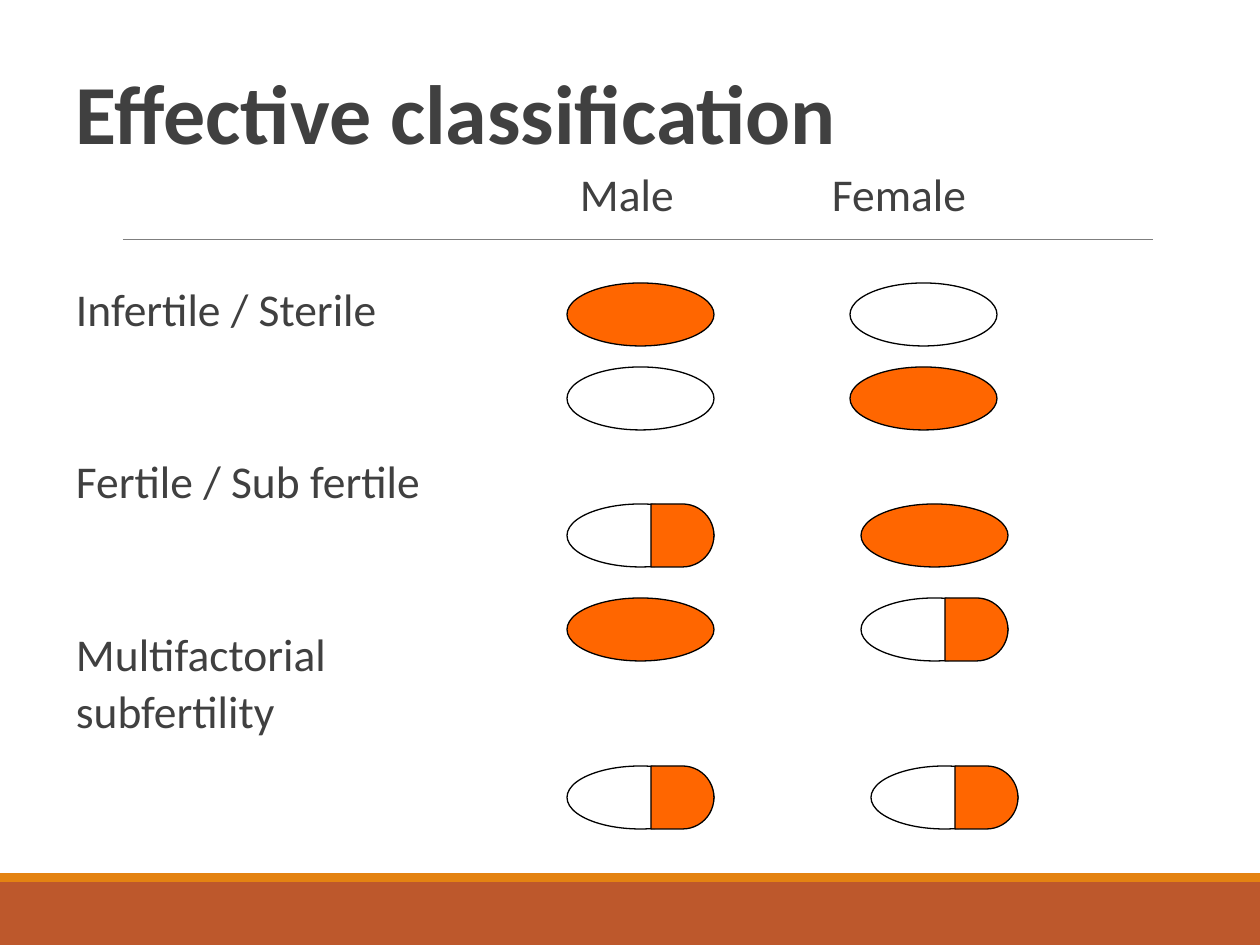
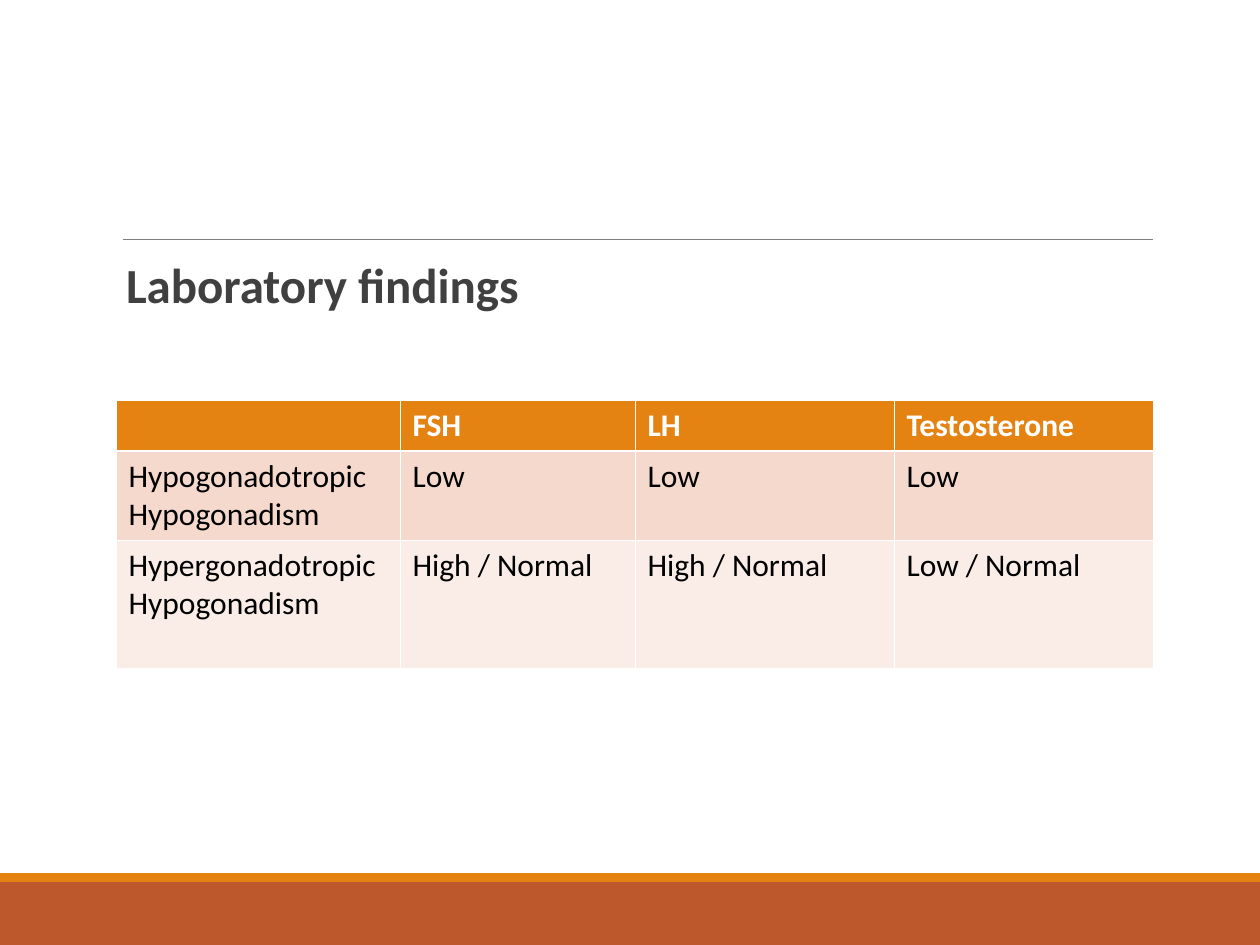
from dataclasses import dataclass

from lxml.etree import SubElement
from pptx import Presentation
from pptx.dml.color import RGBColor
from pptx.enum.shapes import MSO_CONNECTOR, MSO_SHAPE
from pptx.enum.text import MSO_ANCHOR
from pptx.oxml import parse_xml
from pptx.oxml.ns import nsdecls, qn
from pptx.util import Pt

EMU_PER_PIXEL = 914400 / 126


@dataclass(frozen=True)
class Theme:
    font: str = "Calibri"
    text: str = "404040"
    black: str = "000000"
    white: str = "FFFFFF"
    rule: str = "7F7F7F"
    footer: str = "BD582C"
    accent: str = "E48312"
    marker: str = "FF6600"
    row_fills: tuple = ("E48312", "F5D9CC", "FAEDE7")
    title_size: int = 48
    heading_size: int = 28
    body_size: int = 26
    table_size: int = 18
    thin_border: float = 0.45
    thick_border: float = 1.47


THEME = Theme()


def px(length):
    return round(length * EMU_PER_PIXEL)


def color(value):
    return RGBColor.from_string(value)


def write(paragraph, text, size=THEME.body_size, fill=THEME.text, bold=False,
          line_spacing=1.0, before=0, after=0, tabs=()):
    if tabs:
        tab_list = SubElement(paragraph._p.get_or_add_pPr(), qn("a:tabLst"))
        for position in tabs:
            SubElement(tab_list, qn("a:tab"), pos=str(px(position)), algn="l")
    paragraph.line_spacing = line_spacing
    paragraph.space_before = Pt(before)
    paragraph.space_after = Pt(after)
    run = paragraph.add_run()
    run.text = text
    run.font.name = THEME.font
    run.font.size = Pt(size)
    run.font.bold = bold
    run.font.color.rgb = color(fill)


def add_text_frame(slide, left, top, width, height, anchor=MSO_ANCHOR.TOP):
    shape = slide.shapes.add_textbox(px(left), px(top), px(width), px(height))
    frame = shape.text_frame
    frame.word_wrap = True
    frame.vertical_anchor = anchor
    frame.margin_left = frame.margin_right = px(13)
    frame.margin_top = frame.margin_bottom = px(6)
    return frame


def add_filled_shape(slide, kind, left, top, width, height, fill, outline=None):
    shape = slide.shapes.add_shape(kind, px(left), px(top), px(width), px(height))
    shape.shadow.inherit = False
    shape.fill.solid()
    shape.fill.fore_color.rgb = color(fill)
    if outline:
        shape.line.color.rgb = color(outline)
        shape.line.width = Pt(0.75)
    else:
        shape.line.fill.background()


def add_rule(slide, left, right, top):
    line = slide.shapes.add_connector(
        MSO_CONNECTOR.STRAIGHT, px(left), px(top), px(right), px(top))
    line.line.color.rgb = color(THEME.rule)
    line.line.width = Pt(0.5)
    SubElement(line._element.spPr, qn("a:effectLst"))


def add_base_slide(presentation):
    slide = presentation.slides.add_slide(presentation.slide_layouts[6])
    add_filled_shape(slide, MSO_SHAPE.RECTANGLE, 0, 882, 1260, 63, THEME.footer)
    add_filled_shape(slide, MSO_SHAPE.RECTANGLE, 0, 873, 1260, 9, THEME.accent)
    add_rule(slide, 123, 1153, 239)
    return slide


def add_marker(slide, left, top, state):
    fill = THEME.marker if state == "full" else THEME.white
    add_filled_shape(slide, MSO_SHAPE.OVAL, left, top, 147, 63, fill, THEME.black)
    if state == "half":
        add_filled_shape(slide, MSO_SHAPE.FLOWCHART_DELAY, left + 84, top, 63, 63,
                         THEME.marker, THEME.black)


def set_borders(cell, top, bottom):
    thin = THEME.thin_border
    widths = {"lnL": thin, "lnR": thin, "lnT": top, "lnB": bottom}
    for index, (tag, width) in enumerate(widths.items()):
        cell._tc.get_or_add_tcPr().insert(index, parse_xml(
            f'<a:{tag} {nsdecls("a")} w="{Pt(width)}"><a:solidFill>'
            f'<a:srgbClr val="{THEME.white}"/></a:solidFill></a:{tag}>'))


def add_findings_table(slide, left, top, column_widths, row_heights, rows):
    table = slide.shapes.add_table(
        len(rows), len(column_widths), px(left), px(top),
        px(sum(column_widths)), px(sum(row_heights))).table
    for column, width in zip(table.columns, column_widths):
        column.width = px(width)
    for row_index, values in enumerate(rows):
        table.rows[row_index].height = px(row_heights[row_index])
        header = row_index == 0
        for column_index, value in enumerate(values):
            cell = table.cell(row_index, column_index)
            cell.fill.solid()
            cell.fill.fore_color.rgb = color(THEME.row_fills[row_index])
            set_borders(cell,
                        THEME.thick_border if row_index == 1 else THEME.thin_border,
                        THEME.thick_border if header else THEME.thin_border)
            if value:
                write(cell.text_frame.paragraphs[0], value, size=THEME.table_size,
                      fill=THEME.white if header else THEME.black, bold=header)


def build_classification(presentation):
    slide = add_base_slide(presentation)
    title = add_text_frame(slide, 63, 38, 1134, 130, MSO_ANCHOR.BOTTOM)
    write(title.paragraphs[0], "Effective classification", size=THEME.title_size,
          bold=True, line_spacing=0.85)

    body = add_text_frame(slide, 63, 179, 1134, 665)
    write(body.paragraphs[0], "\tMale\tFemale", line_spacing=0.6, after=2,
          tabs=(504, 756))
    labels = (("Infertile / Sterile", 45), ("Fertile / Sub fertile", 78),
              ("Multifactorial", 78), ("subfertility", 12))
    for label, before in labels:
        write(body.add_paragraph(), label, line_spacing=0.6, before=before, after=2)

    male_left = 567
    marker_rows = (
        (283, "full", 850, "empty"),
        (367, "empty", 850, "full"),
        (504, "half", 861, "full"),
        (598, "full", 861, "half"),
        (766, "half", 871, "half"),
    )
    for top, male, female_left, female in marker_rows:
        add_marker(slide, male_left, top, male)
        add_marker(slide, female_left, top, female)


def build_laboratory_findings(presentation):
    slide = add_base_slide(presentation)
    heading = add_text_frame(slide, 113, 255, 1040, 554)
    write(heading.paragraphs[0], "Laboratory findings", size=THEME.heading_size,
          bold=True, line_spacing=0.9, after=2)
    add_findings_table(slide, 116, 400, (284, 235, 259, 259), (51, 89, 128), (
        ("", "FSH", "LH", "Testosterone"),
        ("Hypogonadotropic Hypogonadism", "Low", "Low", "Low"),
        ("Hypergonadotropic Hypogonadism", "High / Normal", "High / Normal",
         "Low / Normal"),
    ))


def main():
    presentation = Presentation()
    presentation.slide_width = px(1260)
    presentation.slide_height = px(945)
    build_classification(presentation)
    build_laboratory_findings(presentation)
    presentation.save("out.pptx")


if __name__ == "__main__":
    main()
